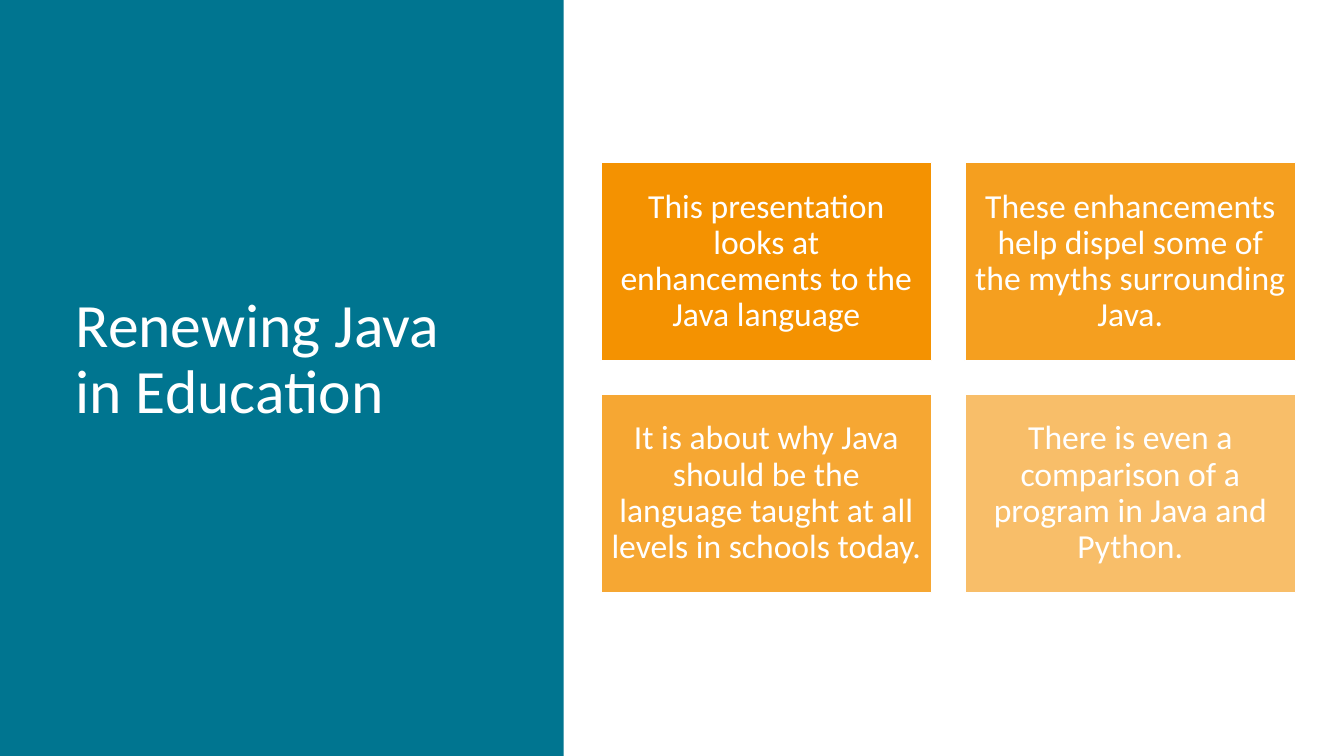
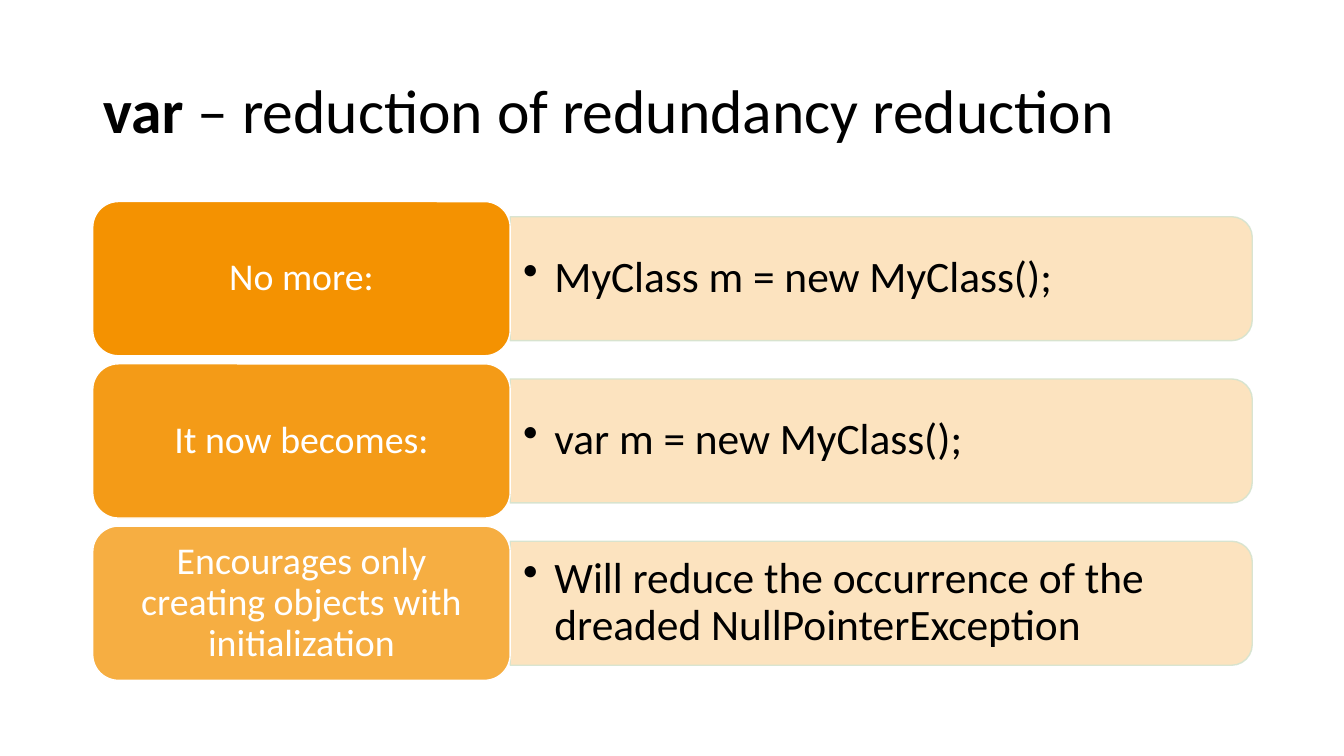
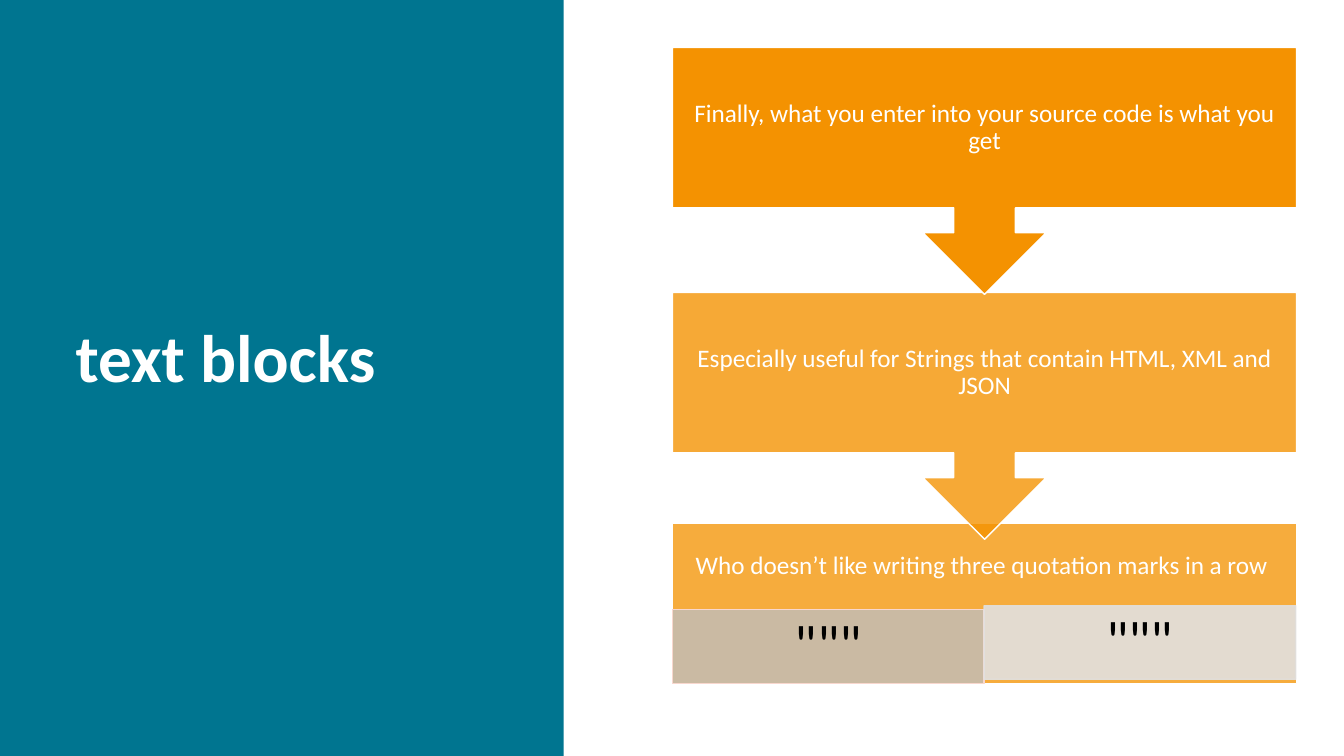
"""Build three slides on renewing Java in education."""
from dataclasses import dataclass

from lxml.etree import SubElement
from pptx import Presentation
from pptx.dml.color import RGBColor
from pptx.enum.shapes import MSO_SHAPE as Shape
from pptx.enum.text import MSO_ANCHOR as Anchor, MSO_AUTO_SIZE as AutoSize, PP_ALIGN as Align
from pptx.oxml.ns import qn
from pptx.slide import Slide
from pptx.text.text import TextFrame
from pptx.util import Inches, Pt

FONT = "Calibri"
ORANGE = RGBColor(0xF4, 0x92, 0x01)
TEAL = RGBColor(0x00, 0x75, 0x90)
PALE_GREEN = RGBColor(0xD5, 0xE3, 0xCF)
PINK = RGBColor(0xF8, 0xD7, 0xCE)
GREY = RGBColor(0xBF, 0xBF, 0xBF)
LIGHT_GREY = RGBColor(0xE1, 0xE1, 0xE1)
WHITE = RGBColor(0xFF, 0xFF, 0xFF)
BLACK = RGBColor(0, 0, 0)

Box = tuple[float, float, float, float]
SIDE_BAND: Box = (0, -0.02, 5.59, 7.52)
SIDE_TITLE: Box = (0.65, 0.7, 4.16, 5.75)
TOP_TITLE: Box = (0.92, 0.4, 11.5, 1.45)


@dataclass(frozen=True)
class Panel:
    """A filled outline with its text; the box is the area seen after rotation."""
    box: Box
    text: str = ""
    kind: Shape = Shape.RECTANGLE
    fill: RGBColor = ORANGE
    opacity: int = 100
    line: RGBColor | None = WHITE
    line_opacity: int = 100
    rotation: int = 0
    size: float = 24
    color: RGBColor = WHITE
    insets: Box = (0.1, 0.1, 0.1, 0.1)
    bullet: bool = False


def inches(box: Box) -> list[Inches]:
    """Convert a box to lengths."""
    return [Inches(value) for value in box]


def write(frame: TextFrame, text: str, *, size: float, color: RGBColor, bold: bool = False,
          bold_lead: str = "", align: Align = Align.CENTER, bullet: bool = False,
          insets: Box = (0.1, 0.05, 0.1, 0.05)) -> None:
    """Write one formatted paragraph, optionally bulleted or with a bold lead."""
    frame.word_wrap = True
    frame.auto_size = AutoSize.NONE
    frame.vertical_anchor = Anchor.MIDDLE
    frame.margin_left, frame.margin_top, frame.margin_right, frame.margin_bottom = inches(insets)
    paragraph = frame.paragraphs[0]
    paragraph.alignment = align
    paragraph.line_spacing = 0.9
    for part, is_bold in ((bold_lead, True), (text, bold)):
        if part:
            run = paragraph.add_run()
            run.text = part
            run.font.name = FONT
            run.font.size = Pt(size)
            run.font.bold = is_bold
            run.font.color.rgb = color
    if bullet:
        properties = paragraph._p.get_or_add_pPr()
        properties.set("marL", str(Inches(0.31)))
        properties.set("indent", str(Inches(-0.31)))
        SubElement(properties, qn("a:buChar")).set("char", "•")


def set_opacity(parent, percent: int) -> None:
    """Set the opacity of the solid fill inside an element."""
    if percent < 100:
        color = parent.find(qn("a:solidFill"))[0]
        SubElement(color, qn("a:alpha")).set("val", str(percent * 1000))


def draw(slide: Slide, panel: Panel) -> None:
    """Draw a panel and its upright text."""
    left, top, width, height = panel.box
    if panel.rotation == 90:
        left, top = left + (width - height) / 2, top + (height - width) / 2
        width, height = height, width
    shape = slide.shapes.add_shape(panel.kind, *inches((left, top, width, height)))
    shape.rotation = panel.rotation
    shape.shadow.inherit = False
    shape.fill.solid()
    shape.fill.fore_color.rgb = panel.fill
    properties = shape.element.spPr
    set_opacity(properties, panel.opacity)
    if panel.line is None:
        shape.line.fill.background()
    else:
        shape.line.color.rgb = panel.line
        shape.line.width = Pt(1)
        set_opacity(properties.find(qn("a:ln")), panel.line_opacity)
    if panel.text:
        holder = slide.shapes.add_textbox(*inches(panel.box)) if panel.rotation else shape
        write(holder.text_frame, panel.text, size=panel.size, color=panel.color,
              align=Align.LEFT if panel.bullet else Align.CENTER,
              bullet=panel.bullet, insets=panel.insets)


def set_title(slide: Slide, text: str, box: Box, *, size: float = 44, color: RGBColor = WHITE,
              bold: bool = False, bold_lead: str = "") -> None:
    """Place the title in front of everything drawn so far."""
    title = slide.shapes.title
    title.left, title.top, title.width, title.height = inches(box)
    write(title.text_frame, text, size=size, color=color, bold=bold,
          bold_lead=bold_lead, align=Align.LEFT)
    title.element.getparent().append(title.element)


def add_side_title(slide: Slide, text: str, *, size: float = 44, bold: bool = False) -> None:
    """Add the teal side band with its title."""
    draw(slide, Panel(SIDE_BAND, fill=TEAL, line=None))
    set_title(slide, text, SIDE_TITLE, size=size, bold=bold)


def build_overview(slide: Slide) -> None:
    """Build the two by two grid of aims."""
    aims = (
        ("This presentation looks at enhancements to the Java language", 100),
        ("These enhancements help dispel some of the myths surrounding Java.", 88),
        ("It is about why Java should be the language taught at all levels in schools today.", 80),
        ("There is even a comparison of a program in Java and Python.", 59),
    )
    for index, (aim, opacity) in enumerate(aims):
        row, column = divmod(index, 2)
        draw(slide, Panel((5.96 + 3.61 * column, 1.61 + 2.3 * row, 3.28, 1.97), aim,
                          opacity=opacity))
    add_side_title(slide, "Renewing Java in Education")


def build_var(slide: Slide) -> None:
    """Build the rows that explain var."""
    set_title(slide, " – reduction of redundancy reduction", TOP_TITLE,
              color=BLACK, bold_lead="var")
    rows = (
        ("No more:", "MyClass m = new MyClass();", 100),
        ("It now becomes:", "var m = new MyClass();", 91),
        ("Encourages only creating objects with initialization",
         "Will reduce the occurrence of the dreaded NullPointerException", 74),
    )
    for index, (label, detail, opacity) in enumerate(rows):
        top = 2 + 1.61 * index
        draw(slide, Panel((5.06, top + 0.15, 7.36, 1.23), detail, Shape.ROUND_2_SAME_RECTANGLE,
                          opacity=25, line=PALE_GREEN, line_opacity=90, rotation=90, size=31,
                          color=BLACK, insets=(0.13, 0.06, 0.13, 0.06), bullet=True))
        draw(slide, Panel((0.92, top, 4.14, 1.53), label, Shape.ROUNDED_RECTANGLE,
                          opacity=opacity, size=27, insets=(0.11, 0.06, 0.11, 0.06)))


def build_text_blocks(slide: Slide) -> None:
    """Build the downward flow on text blocks."""
    left, width = 6.67, 6.19
    draw(slide, Panel((left, 5.19, width, 1.59),
                      "Who doesn’t like writing three quotation marks in a row ",
                      opacity=76, size=18, insets=(0.14, 0.14, 0.14, 0.87)))
    quotes = ((left, 6.05, GREY, 79, PINK, 100), (9.76, 6.01, LIGHT_GREY, 90, LIGHT_GREY, 90))
    for quote_left, top, fill, opacity, line, line_opacity in quotes:
        draw(slide, Panel((quote_left, top, 3.09, 0.73), '"""', fill=fill, opacity=opacity,
                          line=line, line_opacity=line_opacity, size=40, color=BLACK,
                          insets=(0.31, 0.06, 0.31, 0.06)))
    steps = (
        (2.9, "Especially useful for Strings that contain HTML, XML and JSON", 79),
        (0.47, "Finally, what you enter into your source code is what you get", 100),
    )
    for top, step, opacity in steps:
        draw(slide, Panel((left, top, width, 2.45), step, Shape.UP_ARROW_CALLOUT,
                          opacity=opacity, rotation=180, size=18, insets=(0.14, 0.14, 0.14, 1)))
    add_side_title(slide, "text blocks", size=48, bold=True)


def main() -> None:
    """Build and save the presentation."""
    deck = Presentation()
    deck.slide_width, deck.slide_height = Inches(13.33), Inches(7.5)
    title_only = deck.slide_layouts[5]
    for build in (build_overview, build_var, build_text_blocks):
        build(deck.slides.add_slide(title_only))
    deck.save("out.pptx")


main()
